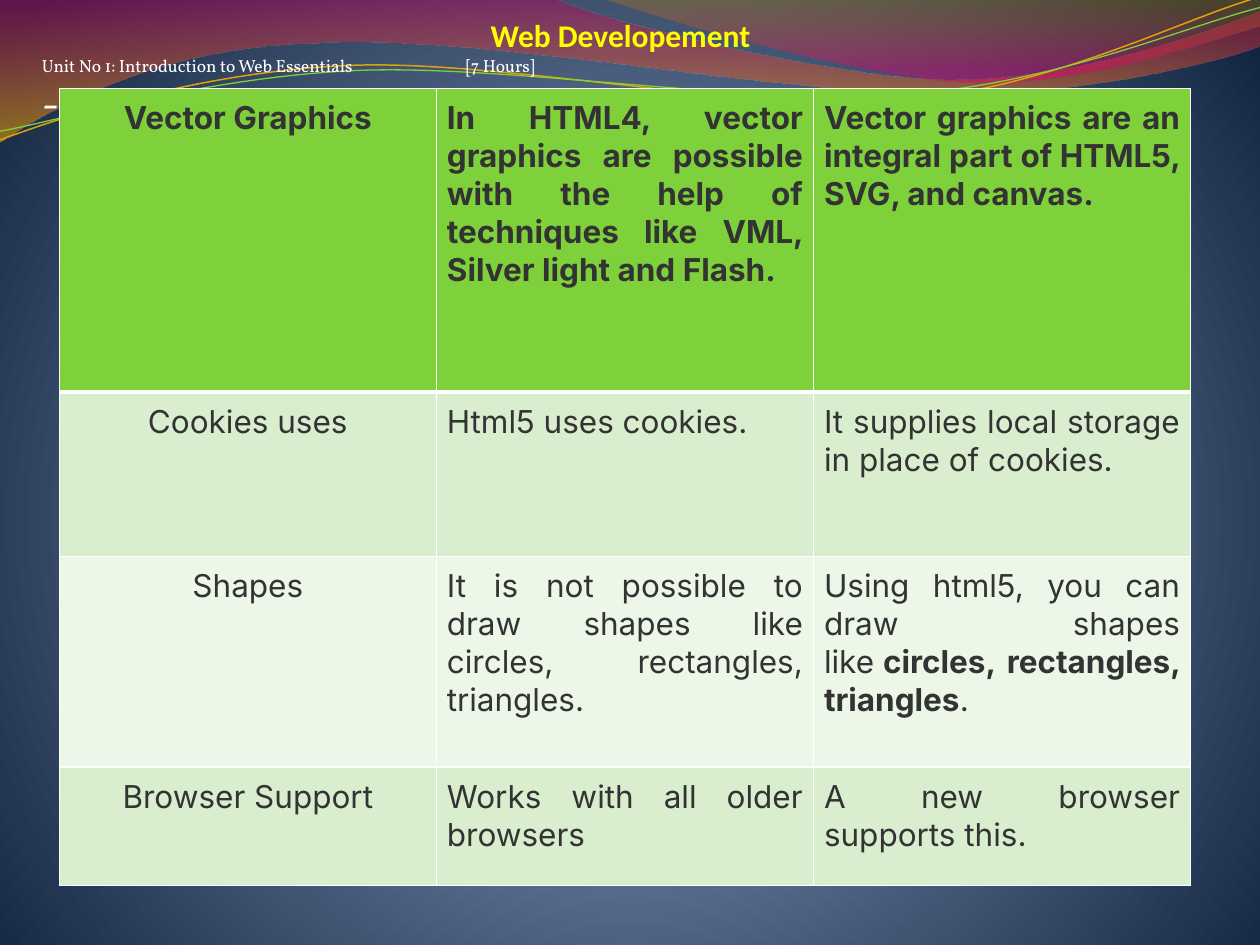
"""Build the web development slide that compares HTML4 with HTML5."""
from dataclasses import dataclass
from math import cos, radians, sin

from lxml.etree import SubElement
from pptx import Presentation
from pptx.dml.color import RGBColor
from pptx.enum.text import MSO_AUTO_SIZE, PP_ALIGN
from pptx.oxml.ns import qn
from pptx.util import Pt


@dataclass(frozen=True)
class Theme:
    white: str = "FFFFFF"
    yellow: str = "FFFF00"
    ink: str = "333333"
    green: str = "7FD13B"
    amber: str = "E0A209"
    stripes: tuple = ("ECF7E8", "D8EECE")
    sky: tuple = ((0, "768BB1", 100), (25, "7386A7", 100), (100, "122541", 100))
    sunset: tuple = ((0, "BD0059", 45), (100, "F0AB00", 55))
    dusk: tuple = ((0, "C38B00", 30), (80, "E1006B", 45))
    heading: str = "Calibri"
    serif: str = "Vollkorn"
    body: str = "Inter"
    large: float = 24
    normal: float = 18
    small: float = 10


def turn(segments, degrees, pivot):
    angle, (cx, cy) = radians(degrees), pivot
    return [[(cx + (x - cx) * cos(angle) - (y - cy) * sin(angle),
              cy + (x - cx) * sin(angle) + (y - cy) * cos(angle)) for x, y in segment]
            for segment in segments]


class SlideWriter:
    def __init__(self, slide, theme):
        self.slide, self.theme = slide, theme

    def gradient(self, fill, holder, stops, focus=None):
        fill.gradient()
        grad = next(holder.iter(qn("a:gradFill")))
        for child in list(grad):
            grad.remove(child)
        stop_list = SubElement(grad, qn("a:gsLst"))
        for position, color, opacity in stops:
            stop = SubElement(stop_list, qn("a:gs"), pos=str(position * 1000))
            shade = SubElement(stop, qn("a:srgbClr"), val=color)
            SubElement(shade, qn("a:alpha"), val=str(opacity * 1000))
        if focus:
            circle = SubElement(grad, qn("a:path"), {"path": "circle"})
            SubElement(circle, qn("a:fillToRect"),
                       {side: str(value * 1000) for side, value in focus.items()})
        else:
            SubElement(grad, qn("a:lin"), ang="5400000", scaled="1")

    def background(self, stops, focus):
        self.gradient(self.slide.background.fill, self.slide.element, stops, focus)

    def outline(self, segments, closed):
        first, *rest = [(Pt(x), Pt(y)) for segment in segments for x, y in segment]
        builder = self.slide.shapes.build_freeform(*first)
        builder.add_line_segments(rest, close=closed)
        shape = builder.convert_to_shape()
        shape.shadow.inherit = False
        lines = shape.element.iter(qn("a:lnTo"))
        self.bend(list(lines), segments[1:])
        return shape

    def bend(self, lines, segments):
        remaining = iter(lines)
        for segment in segments:
            group = [next(remaining) for _ in segment]
            if len(group) == 3:
                curve = SubElement(group[0].getparent(), qn("a:cubicBezTo"))
                group[0].addprevious(curve)
                for line in group:
                    curve.append(line[0])
                    line.getparent().remove(line)

    def band(self, segments, stops):
        shape = self.outline(segments, True)
        self.gradient(shape.fill, shape.element, stops)
        shape.line.fill.background()

    def wave(self, segments, color, width, tilt, pivot):
        shape = self.outline(turn(segments, tilt, pivot), False)
        shape.rotation = 360 - tilt
        shape.fill.background()
        shape.line.color.rgb = RGBColor.from_string(color)
        shape.line.width = Pt(width)

    def run(self, paragraph, text, color, **style):
        run = paragraph.add_run()
        run.text = text
        for name, value in style.items():
            setattr(run.font, name, value)
        run.font.color.rgb = RGBColor.from_string(color)

    def text(self, box, lines, color, align, tab=None, auto_size=MSO_AUTO_SIZE.NONE, **style):
        frame = self.slide.shapes.add_textbox(*map(Pt, box)).text_frame
        frame.word_wrap, frame.auto_size = True, auto_size
        for index, (line, size) in enumerate(lines):
            paragraph = frame.add_paragraph() if index else frame.paragraphs[0]
            paragraph.alignment = align
            self.run(paragraph, line, color, size=Pt(size), **style)
            if tab and "\t" in line:
                tabs = SubElement(paragraph._p.get_or_add_pPr(), qn("a:tabLst"))
                SubElement(tabs, qn("a:tab"), pos=str(Pt(tab)), algn="l")

    def borders(self, cell, widths):
        properties = cell._tc.get_or_add_tcPr()
        for index, (side, width) in enumerate(widths.items()):
            edge = SubElement(properties, qn(f"a:ln{side}"), w=str(Pt(width)))
            SubElement(SubElement(edge, qn("a:solidFill")), qn("a:srgbClr"), val=self.theme.white)
            properties.insert(index, edge)

    def cell(self, cell, parts, fill, align, header):
        for side in ("left", "top", "right", "bottom"):
            setattr(cell, f"margin_{side}", Pt(6))
        cell.fill.solid()
        cell.fill.fore_color.rgb = RGBColor.from_string(fill)
        paragraph = cell.text_frame.paragraphs[0]
        paragraph.alignment = align
        for index, part in enumerate(parts):
            self.run(paragraph, part, self.theme.ink, size=Pt(self.theme.normal),
                     name=self.theme.body, bold=header or index == 1)

    def table(self, left, top, column_width, heights, rows):
        columns = len(rows[0])
        table = self.slide.shapes.add_table(
            len(rows), columns, Pt(left), Pt(top),
            Pt(column_width * columns), Pt(sum(heights))).table
        for column in table.columns:
            column.width = Pt(column_width)
        for r, (height, row) in enumerate(zip(heights, rows)):
            table.rows[r].height = Pt(height)
            fill = self.theme.stripes[r % 2] if r else self.theme.green
            for c, content in enumerate(row):
                parts = (content,) if isinstance(content, str) else content
                align = PP_ALIGN.JUSTIFY if c else PP_ALIGN.CENTER
                self.cell(table.cell(r, c), parts, fill, align, r == 0)
                self.borders(table.cell(r, c), {
                    "L": 1, "R": 1, "T": 3 if r == 1 else 1, "B": 3 if r == 0 else 1})


SUNSET_BAND = [
    [(0, 0)], [(317, -0.7)], [(343, 12), (478, 45.4), (546, 45.4)],
    [(614, 45.4), (690, 18.7), (720, 6.5)], [(720.7, 26)],
    [(708, 31.7), (626, 54.7), (537, 54)], [(448, 54), (275, 20.2), (185, 24.5)],
    [(93, 26), (33, 59.8), (-0.7, 81.4)]]
DUSK_BAND = [
    [(345, -0.7)], [(366.5, 8), (491, 44.6), (553.7, 46.8)],
    [(616.3, 49.7), (692, 23), (720, 15)], [(720, 0)]]
AMBER_WAVE = [
    [(0, 80)], [(34.5, 67), (113.8, 41), (199.4, 37.4)],
    [(284.4, 33.8), (427, 64), (513.4, 57.6)], [(599.8, 51), (675.4, 10.8), (718.6, -1.4)]]
GREEN_WAVE = [
    [(0, 75)], [(34, 69), (118, 44), (203.8, 40.3)],
    [(290, 36.7), (429.8, 60.5), (516.2, 54)], [(602, 48.2), (677.5, 15), (720, 4.3)]]

NBSP = chr(160)
COMPARISON = [
    ["Vector Graphics",
     "In HTML4, vector graphics are possible with the help of techniques like VML, "
     "Silver light and Flash.",
     f"Vector graphics are an integral part of{NBSP}HTML5, SVG, and{NBSP}canvas."],
    ["Cookies uses", "Html5 uses cookies.", "It supplies local storage in place of cookies."],
    ["Shapes", "It is not possible to draw shapes like circles, rectangles, triangles.",
     (f"Using html5, you can draw shapes like{NBSP}", "circles, rectangles, triangles", ".")],
    ["Browser Support", "Works with all older browsers", "A new browser supports this."]]


def main():
    deck, theme = Presentation(), Theme()
    deck.slide_width, deck.slide_height = Pt(720), Pt(540)
    writer = SlideWriter(deck.slides.add_slide(deck.slide_layouts[6]), theme)
    writer.background(theme.sky, {"l": 10, "t": 110, "r": 10, "b": 100})
    writer.band(SUNSET_BAND, theme.sunset)
    writer.band(DUSK_BAND, theme.dusk)
    writer.wave(AMBER_WAVE, theme.amber, 0.85, 2.7, (359.3, 41.4))
    writer.wave(GREEN_WAVE, theme.green, 0.75, 2.7, (359.6, 42.5))
    writer.text((129.6, 5.8, 450, 28.8), [("Web Developement", theme.normal)], theme.yellow,
                PP_ALIGN.CENTER, auto_size=MSO_AUTO_SIZE.SHAPE_TO_FIT_TEXT,
                name=theme.heading, bold=True)
    writer.text((16.8, 28, 686, 252),
                [("Unit No 1: Introduction to Web Essentials\t[7 Hours]", theme.small),
                 ("-", theme.large)],
                theme.white, PP_ALIGN.LEFT, tab=242.5, name=theme.serif)
    writer.table(33.9, 50.6, 215.5, [173.5, 94, 120.3, 67.7], COMPARISON)
    deck.save("out.pptx")


if __name__ == "__main__":
    main()
